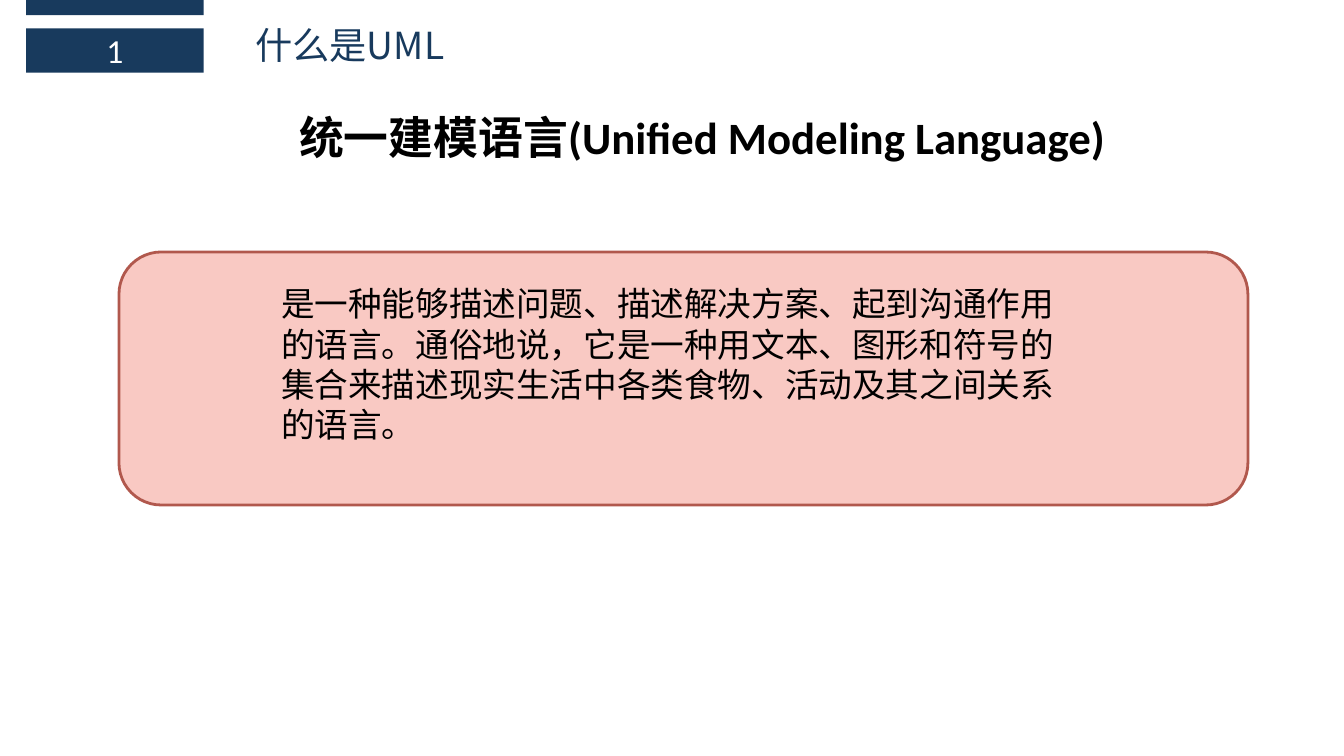
from pptx import Presentation
from pptx.dml.color import RGBColor
from pptx.enum.shapes import MSO_SHAPE
from pptx.enum.text import MSO_ANCHOR, PP_ALIGN
from pptx.oxml.ns import qn
from pptx.util import Pt
from lxml import etree

RECT, ROUND = MSO_SHAPE.RECTANGLE, MSO_SHAPE.ROUNDED_RECTANGLE
TOP, MIDDLE = MSO_ANCHOR.TOP, MSO_ANCHOR.MIDDLE
LEFT, CENTER = PP_ALIGN.LEFT, PP_ALIGN.CENTER
COLORS = {"navy": "183A5D", "white": "FFFFFF", "black": "000000",
          "pink": "F9C9C3", "red": "B1584D"}
LATIN, HAN = "Calibri", "Noto Sans CJK SC"


class Page:
    def __init__(self, slide):
        self.slide = slide

    def color(self, name):
        return RGBColor.from_string(COLORS[name])

    def label(self, shape, text, size, color, font=LATIN, bold=False,
              align=LEFT, anchor=TOP, indent=0):
        frame = shape.text_frame
        frame.word_wrap = True
        frame.vertical_anchor = anchor
        para = frame.paragraphs[0]
        para.alignment = align
        if indent:
            props = para._p.get_or_add_pPr()
            props.set("marL", str(Pt(indent)))
            props.set("indent", "0")
        run = para.add_run()
        run.text = text
        run.font.size = Pt(size)
        run.font.bold = bold
        run.font.name = font
        run.font.color.rgb = self.color(color)
        east = etree.SubElement(run.font._element, qn("a:ea"))
        east.set("typeface", font)

    def title(self, box, text, size, color, **style):
        shape = self.slide.shapes.title
        shape.left, shape.top, shape.width, shape.height = map(Pt, box)
        self.label(shape, text, size, color, **style)

    def text(self, box, text, size, color, **style):
        shape = self.slide.shapes.add_textbox(*map(Pt, box))
        self.label(shape, text, size, color, **style)

    def shape(self, kind, box, fill, line=None):
        shape = self.slide.shapes.add_shape(kind, *map(Pt, box))
        shape.shadow.inherit = False
        shape.fill.solid()
        shape.fill.fore_color.rgb = self.color(fill)
        if line:
            shape.line.color.rgb = self.color(line)
            shape.line.width = Pt(2)
        else:
            shape.line.fill.background()
        return shape


def main():
    deck = Presentation()
    deck.slide_width, deck.slide_height = Pt(960), Pt(540)
    page = Page(deck.slides.add_slide(deck.slide_layouts[5]))

    # Header: number tab and title
    page.shape(RECT, (18.7, 0, 126.7, 10.8), "navy")
    tab = page.shape(RECT, (18.7, 20.2, 126.7, 31.7), "navy")
    page.label(tab, "1", 24, "white", align=CENTER, anchor=MIDDLE)
    page.title((175, 12.2, 476.6, 39.6), "什么是UML", 26.6, "navy", font=HAN)

    # Term
    page.text((163.4, 74.9, 633.6, 46), "统一建模语言(Unified Modeling Language)",
              32, "black", bold=True, indent=43.2)

    # Definition card
    page.shape(ROUND, (85, 180, 806.4, 180.7), "pink", "red")
    page.text((193.7, 198.7, 589.7, 123.8),
              "是一种能够描述问题、描述解决方案、起到沟通作用的语言。"
              "通俗地说，它是一种用文本、图形和符号的集合来描述"
              "现实生活中各类食物、活动及其之间关系的语言。",
              24, "black")

    deck.save("out.pptx")


if __name__ == "__main__":
    main()
